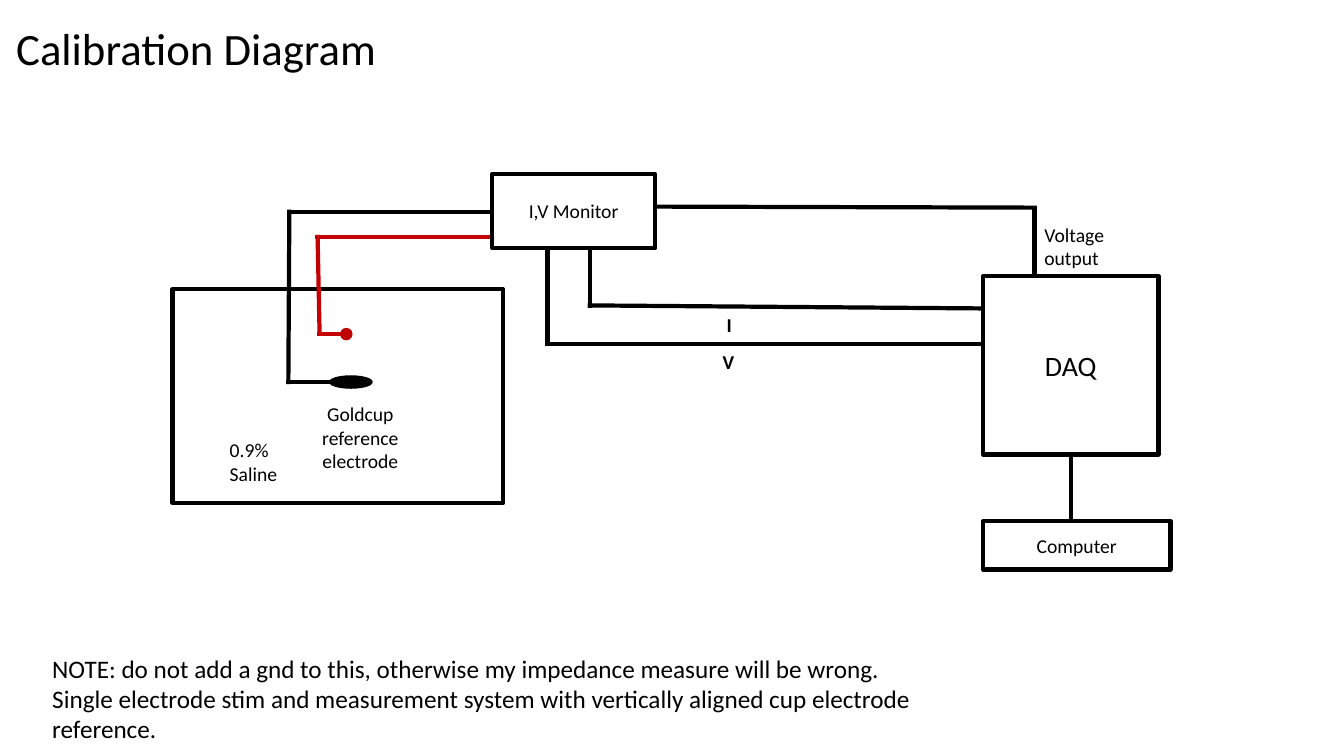
from itertools import pairwise
from lxml import etree
from pptx import Presentation
from pptx.dml.color import RGBColor
from pptx.enum.shapes import MSO_CONNECTOR as Link, MSO_SHAPE as Kind
from pptx.enum.text import MSO_ANCHOR as Anchor, PP_ALIGN as Align
from pptx.oxml.ns import qn
from pptx.util import Inches, Pt

# Content: places are left, top, width, height in inches
HUES = {"ink": "000000", "paper": "FFFFFF", "red": "C00000", "wire": "C40203"}
TITLE = "Calibration Diagram"
TANK = (1.71, 2.87, 3.28, 2.12)
BOXES = {
    "DAQ": ((9.75, 2.74, 1.74, 1.77), 20),
    "Computer": ((9.75, 5.17, 1.86, 0.48), 14),
    "I,V Monitor": ((4.88, 1.73, 1.62, 0.73), 14),
}
WIRES = [
    ("wire", [(4.88, 2.35), (3.15, 2.35), (3.17, 3.31), (3.43, 3.31)]),
    ("ink", [(4.88, 2.1), (2.87, 2.1), (2.86, 3.79), (3.48, 3.79)]),
    ("ink", [(5.85, 2.46), (5.85, 3.03), (9.75, 3.06)]),
    ("ink", [(5.43, 2.46), (5.43, 3.41), (9.75, 3.41)]),
    ("ink", [(6.5, 2.05), (10.26, 2.06), (10.26, 2.74)]),
]
TIPS = [("red", (3.38, 3.26, 0.11, 0.11)), ("ink", (3.27, 3.73, 0.42, 0.12))]
# Lines, place, size, bold, alignment
LABELS = [
    (["0.9% Saline"], (2.18, 4.3, 1.08, 0.57), 14, False, Align.LEFT),
    (["Voltage", "output"], (10.26, 2.16, 0.86, 0.57), 14, False, Align.LEFT),
    (["Goldcup reference electrode"], (2.91, 3.94, 1.33, 0.81), 14, False, Align.CENTER),
    (["I"], (7.11, 3.06, 0.36, 0.34), 14, True, Align.LEFT),
    (["V"], (7.07, 3.42, 0.36, 0.34), 14, True, Align.LEFT),
    (["NOTE: do not add a gnd to this, otherwise my impedance measure will be wrong.",
      "Single electrode stim and measurement system with vertically aligned cup "
      "electrode reference."], (0.42, 6.43, 9.74, 1.01), 18, False, Align.LEFT),
]


def hue(name):
    return RGBColor.from_string(HUES[name])


def write(frame, lines, size, bold=False, align=Align.LEFT):
    frame.word_wrap = True
    for i, line in enumerate(lines):
        para = frame.add_paragraph() if i else frame.paragraphs[0]
        para.alignment = align
        run = para.add_run()
        run.text = line
        run.font.name = "Calibri"
        run.font.size = Pt(size)
        run.font.bold = bold
        run.font.color.rgb = hue("ink")


def draw(kind, place, fill, line, width):
    shape = slide.shapes.add_shape(kind, *map(Inches, place))
    shape.shadow.inherit = False
    shape.fill.solid()
    shape.fill.fore_color.rgb = hue(fill)
    shape.line.color.rgb = hue(line)
    shape.line.width = Pt(width)
    return shape


def wire(start, end, color):
    link = slide.shapes.add_connector(Link.STRAIGHT, *map(Inches, (*start, *end)))
    link.line.color.rgb = hue(color)
    link.line.width = Pt(3)
    link.line._get_or_add_ln().set("cap", "sq")  # closes the corners
    etree.SubElement(link._element.spPr, qn("a:effectLst"))
    return link


deck = Presentation()
deck.slide_width, deck.slide_height = Inches(13.33), Inches(7.5)
slide = deck.slides.add_slide(deck.slide_layouts[5])

# Title
title = slide.shapes.title
title.left, title.top, title.width, title.height = map(Inches, (0.06, 0.1, 4.35, 0.82))
title.text_frame.vertical_anchor = Anchor.MIDDLE
write(title.text_frame, [TITLE], 32)
title.text_frame.paragraphs[0].line_spacing = 0.9

# Saline tank, wires and electrode tips
draw(Kind.RECTANGLE, TANK, "paper", "ink", 3)
for color, points in WIRES:
    for start, end in pairwise(points):
        wire(start, end, color)
for color, place in TIPS:
    draw(Kind.OVAL, place, color, color, 1)

# Instrument boxes
units = {}
for name, (place, size) in BOXES.items():
    box = units[name] = draw(Kind.RECTANGLE, place, "paper", "ink", 3)
    box.text_frame.vertical_anchor = Anchor.MIDDLE
    write(box.text_frame, [name], size, align=Align.CENTER)

# Link from the DAQ straight down to the computer
left, top, width, height = BOXES["DAQ"][0]
mid = left + width / 2
drop = wire((mid, top + height), (mid, BOXES["Computer"][0][1]), "ink")
drop.begin_connect(units["DAQ"], 2)

# Labels and note
for lines, place, size, bold, align in LABELS:
    text = slide.shapes.add_textbox(*map(Inches, place))
    write(text.text_frame, lines, size, bold, align)

deck.save("out.pptx")
